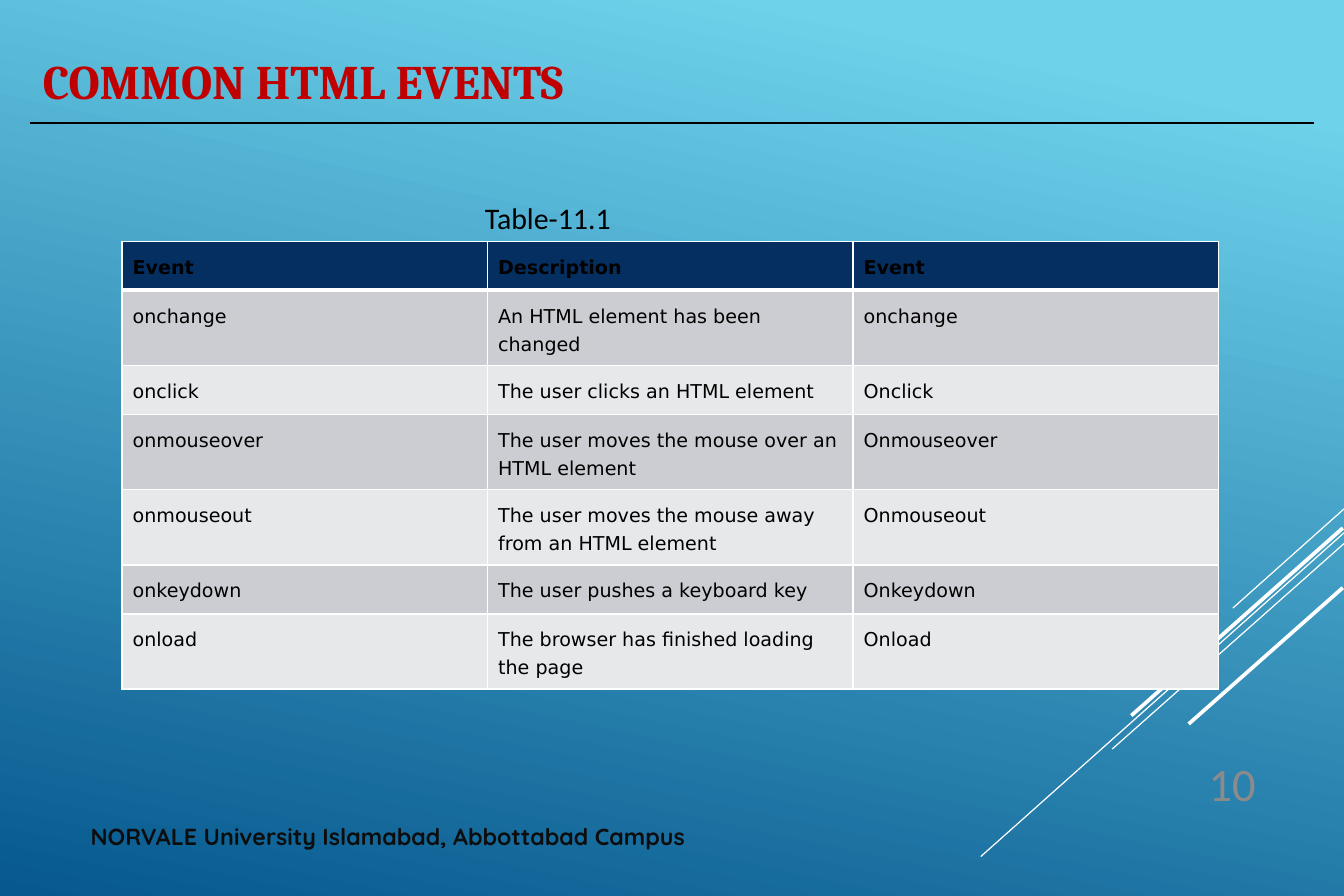
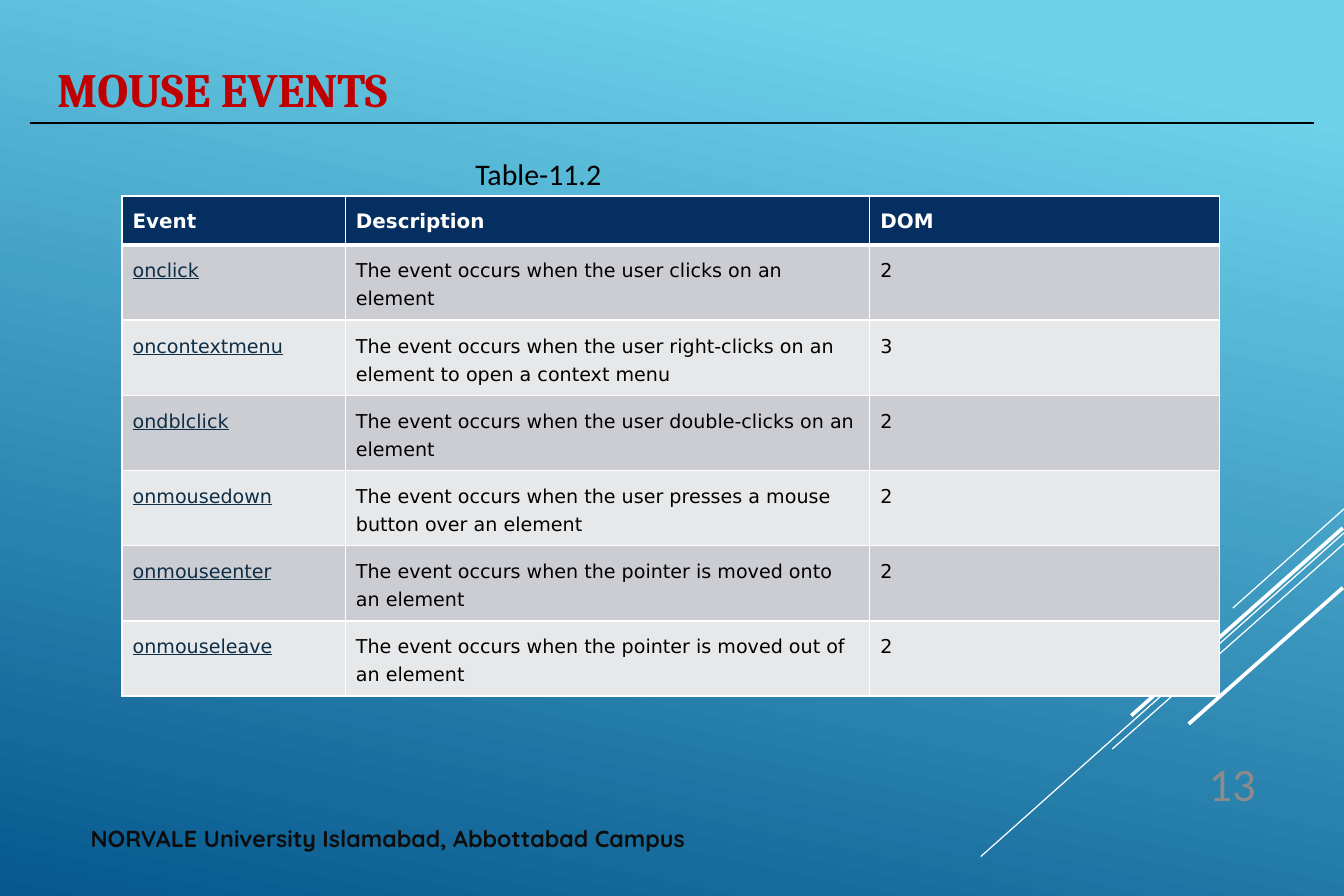
from lxml.etree import SubElement
from pptx import Presentation
from pptx.dml.color import RGBColor
from pptx.enum.shapes import MSO_CONNECTOR
from pptx.enum.text import MSO_ANCHOR, PP_ALIGN
from pptx.oxml.ns import qn
from pptx.util import Inches, Pt

SKY = RGBColor(0x6E, 0xD2, 0xEB)
SEA = RGBColor(0x06, 0x58, 0x8E)
WHITE = RGBColor(0xFF, 0xFF, 0xFF)
BLACK = RGBColor(0, 0, 0)
INK = RGBColor(0x0D, 0x0D, 0x0D)
RED = RGBColor(0xC0, 0, 0)
GRAY = RGBColor(0x8B, 0x8B, 0x8B)
NAVY = RGBColor(0x05, 0x2F, 0x61)
LINK = RGBColor(0x0D, 0x2E, 0x46)
BANDS = RGBColor(0xE7, 0xE8, 0xEA), RGBColor(0xCC, 0xCD, 0xD2)

TITLE = {"name": "Cambria", "size": Pt(29), "bold": True}
LABEL = {"name": "Calibri", "size": Pt(18)}
FOOT = {"name": "Quicksand", "size": Pt(14), "bold": True}
PAGE = {"name": "Calibri", "size": Pt(28)}
BODY = {"name": "DejaVu Sans", "size": Pt(11.5), "bold": False}
HEAD = {**BODY, "bold": True}
LINE = {"line_spacing": Pt(16.9), "space_before": Pt(12), "space_after": Pt(12)}
INSET = {"margin_left": Inches(0.09), "margin_right": Inches(0.09),
         "margin_top": Inches(0.08), "margin_bottom": Inches(0.08)}
RAYS = [
    (11.25, 4.26, 10.32, 5.09, 0.75),
    (11.25, 4.46, 8.21, 7.17, 0.75),
    (11.25, 4.55, 9.31, 6.27, 0.75),
    (11.24, 4.42, 9.47, 5.99, 2.25),
    (11.24, 4.92, 9.95, 6.06, 2.25),
]


def apply(item, style):
    for key, value in style.items():
        setattr(item, key, value)


class Deck:
    """Holds the shared style and the slide being built."""

    def __init__(self):
        self.deck = Presentation()
        apply(self.deck, {"slide_width": Inches(11.25), "slide_height": Inches(7.5)})
        self.slide = None

    def start(self):
        self.slide = self.deck.slides.add_slide(self.deck.slide_layouts[6])
        fill = self.slide.background.fill
        fill.gradient()
        fill.gradient_angle = 258
        for stop, place, color in zip(fill.gradient_stops, (0.1, 1), (SKY, SEA)):
            stop.position = place
            stop.color.rgb = color
        for ray in RAYS:
            self.line(*ray, WHITE)

    def line(self, x1, y1, x2, y2, width, color):
        ends = [Inches(n) for n in (x1, y1, x2, y2)]
        line = self.slide.shapes.add_connector(MSO_CONNECTOR.STRAIGHT, *ends)
        line.line.color.rgb = color
        line.line.width = Pt(width)
        SubElement(line._element.spPr, qn("a:effectLst"))

    def words(self, para, text, style, color):
        run = para.add_run()
        run.text = text
        apply(run.font, style)
        run.font.color.rgb = color

    def text(self, box, text, style, color, anchor=MSO_ANCHOR.TOP, align=PP_ALIGN.LEFT):
        shape = self.slide.shapes.add_textbox(*[Inches(n) for n in box])
        frame = shape.text_frame
        apply(frame, {"word_wrap": True, "vertical_anchor": anchor})
        para = frame.paragraphs[0]
        para.alignment = align
        self.words(para, text, style, color)

    def title(self, box, text, size):
        self.text(box, text, {**TITLE, "size": Pt(size)}, RED, MSO_ANCHOR.MIDDLE)

    def footer(self, top, page):
        self.line(0.25, 1.03, 11, 1.03, 0.75, BLACK)
        self.text((0.66, top, 7.15, 0.4),
                  "NORVALE University Islamabad, Abbottabad Campus", FOOT, INK)
        self.text((9.61, 6.25, 1, 0.6), page, PAGE, GRAY,
                  MSO_ANCHOR.MIDDLE, PP_ALIGN.RIGHT)

    def border(self, cell, top, bottom):
        props = cell._tc.get_or_add_tcPr()
        for side, width in (("L", 1), ("R", 1), ("T", top), ("B", bottom)):
            edge = SubElement(props, qn("a:ln" + side), w=str(Pt(width)))
            fill = SubElement(edge, qn("a:solidFill"))
            SubElement(fill, qn("a:srgbClr"), val=str(WHITE))

    def cell(self, cell, text, fill, style, color):
        apply(cell, INSET)
        cell.fill.solid()
        cell.fill.fore_color.rgb = fill
        para = cell.text_frame.paragraphs[0]
        apply(para, LINE)
        self.words(para, text, style, color)

    def table(self, top, widths, rows, size, color, linked=False):
        box = [Inches(n) for n in (1.02, top, sum(widths), 0.41 * len(rows))]
        grid = self.slide.shapes.add_table(len(rows), len(widths), *box).table
        for col, width in zip(grid.columns, widths):
            col.width = Inches(width)
        for r, row in enumerate(rows):
            for c, text in enumerate(row):
                cell = grid.cell(r, c)
                self.border(cell, 3 if r == 1 else 1, 3 if r == 0 else 1)
                if r == 0:
                    self.cell(cell, text, NAVY, {**HEAD, "size": Pt(size)}, color)
                elif linked and c == 0:
                    self.cell(cell, text, BANDS[r % 2], {**BODY, "underline": True}, LINK)
                else:
                    self.cell(cell, text, BANDS[r % 2], BODY, BLACK)


COMMON = [
    ("Event", "Description", "Event"),
    ("onchange", "An HTML element has been changed", "onchange"),
    ("onclick", "The user clicks an HTML element", "Onclick"),
    ("onmouseover", "The user moves the mouse over an HTML element", "Onmouseover"),
    ("onmouseout", "The user moves the mouse away from an HTML element", "Onmouseout"),
    ("onkeydown", "The user pushes a keyboard key", "Onkeydown"),
    ("onload", "The browser has finished loading the page", "Onload"),
]
MOUSE = [
    ("Event", "Description", "DOM"),
    ("onclick", "The event occurs when the user clicks on an element", "2"),
    ("oncontextmenu", "The event occurs when the user right-clicks on an element "
     "to open a context menu", "3"),
    ("ondblclick", "The event occurs when the user double-clicks on an element", "2"),
    ("onmousedown", "The event occurs when the user presses a mouse button "
     "over an element", "2"),
    ("onmouseenter", "The event occurs when the pointer is moved onto an element", "2"),
    ("onmouseleave", "The event occurs when the pointer is moved out of an element", "2"),
]


def main():
    deck = Deck()

    deck.start()
    deck.title((0.26, 0.3, 8.06, 0.75), "COMMON HTML EVENTS", 29)
    deck.table(2.02, (3.06, 3.06, 3.06), COMMON, 11.5, BLACK)
    deck.text((3.96, 1.62, 1.38, 0.4), "Table-11.1", LABEL, BLACK)
    deck.footer(6.83, "10")

    deck.start()
    deck.title((0.38, 0.45, 8.06, 0.58), "MOUSE EVENTS", 28.8)
    deck.table(1.64, (1.87, 4.39, 2.93), MOUSE, 12, WHITE, linked=True)
    deck.text((3.88, 1.25, 1.38, 0.4), "Table-11.2", LABEL, BLACK)
    deck.footer(6.85, "13")

    deck.deck.save("out.pptx")


if __name__ == "__main__":
    main()
